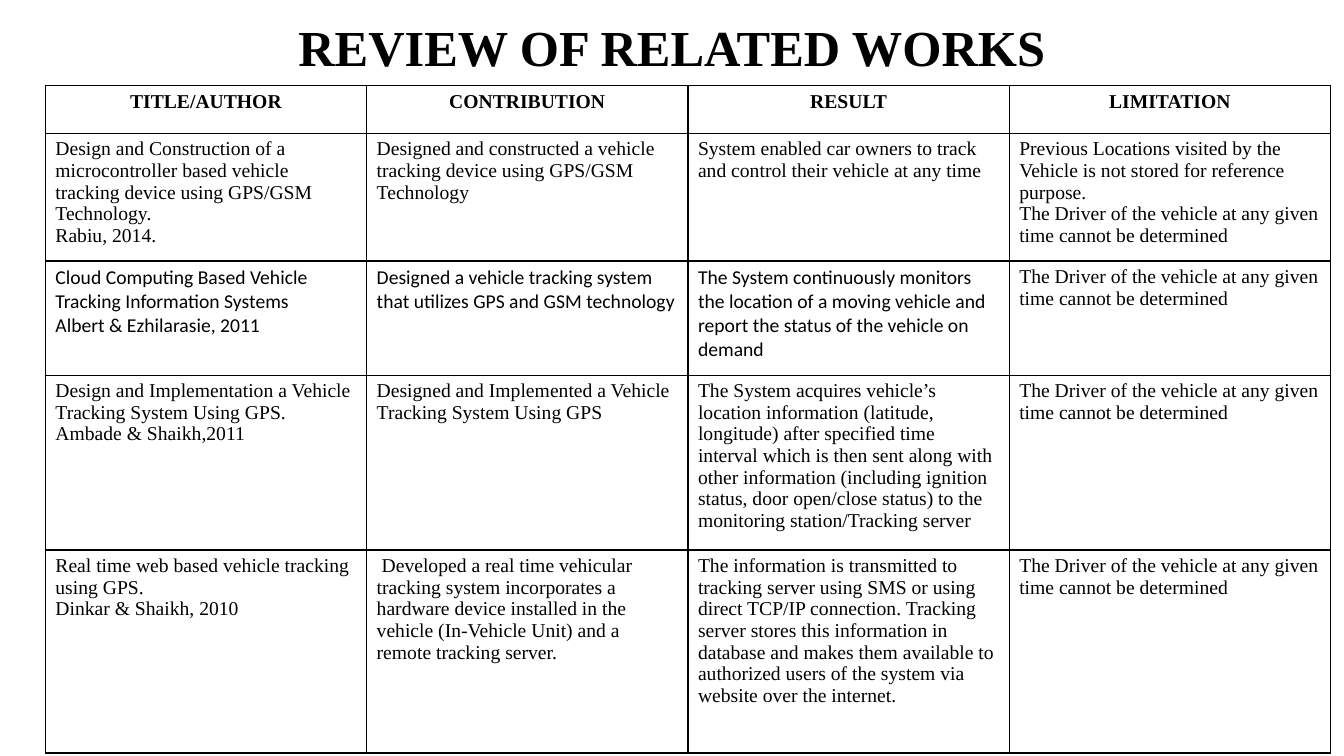
from pptx import Presentation
from pptx.dml.color import RGBColor
from pptx.enum.text import MSO_ANCHOR, PP_ALIGN
from pptx.oxml import parse_xml
from pptx.oxml.ns import nsdecls
from pptx.util import Pt

SERIF, SANS = "Times New Roman", "Calibri"
BLACK = "000000"
NO_DRIVER = "The Driver of the vehicle at any given time cannot be determined"
HEADERS = ["TITLE/AUTHOR", "CONTRIBUTION", "RESULT", "LIMITATION"]
WORKS = [
    ["Design and Construction of a microcontroller based vehicle tracking device "
     "using GPS/GSM Technology.\nRabiu, 2014.",
     "Designed and constructed a vehicle tracking device using GPS/GSM Technology",
     "System enabled car owners to track and control their vehicle at any time",
     "Previous Locations visited by the Vehicle is not stored for reference purpose.\n"
     + NO_DRIVER],
    ["Cloud Computing Based Vehicle Tracking Information Systems\n"
     "Albert & Ezhilarasie, 2011",
     "Designed a vehicle tracking system that utilizes GPS and GSM technology",
     "The System continuously monitors the location of a moving vehicle and report "
     "the status of the vehicle on demand",
     NO_DRIVER],
    ["Design and Implementation a Vehicle Tracking System Using GPS.\n"
     "Ambade & Shaikh,2011",
     "Designed and Implemented a Vehicle Tracking System Using GPS",
     "The System acquires vehicle’s location information (latitude, longitude) after "
     "specified time interval which is then sent along with other information "
     "(including ignition status, door open/close status) to the monitoring "
     "station/Tracking server",
     NO_DRIVER],
    ["Real time web based vehicle tracking using GPS.\nDinkar & Shaikh, 2010",
     " Developed a real time vehicular tracking system incorporates a hardware device "
     "installed in the vehicle (In-Vehicle Unit) and a remote tracking server.",
     "The information is transmitted to tracking server using SMS or using direct "
     "TCP/IP connection. Tracking server stores this information in database and "
     "makes them available to authorized users of the system via website over the "
     "internet.",
     NO_DRIVER],
]
ROW_HEIGHTS = [34, 84, 81.5, 117.5, 145]
SANS_ROW = 2


def rgb(color):
    """Turn a hex string into a colour."""
    return RGBColor.from_string(color)


def write(tf, text, size=14, font=SERIF, color=BLACK, bold=False,
          align=PP_ALIGN.LEFT, spacing=None):
    """Fill a text frame with one paragraph per line of text."""
    tf.word_wrap = True
    for i, line in enumerate(text.split("\n")):
        p = tf.add_paragraph() if i else tf.paragraphs[0]
        p.alignment = align
        if spacing:
            p.line_spacing = spacing
        r = p.add_run()
        r.text = line
        r.font.size, r.font.name, r.font.bold = Pt(size), font, bold
        r.font.color.rgb = rgb(color)


def add_borders(cell, color=BLACK, width=1):
    """Draw a solid line on all four sides of a cell."""
    tc_pr = cell._tc.get_or_add_tcPr()
    for i, side in enumerate(("lnL", "lnR", "lnT", "lnB")):
        tc_pr.insert(i, parse_xml(
            f'<a:{side} {nsdecls("a")} w="{Pt(width)}"><a:solidFill>'
            f'<a:srgbClr val="{color}"/></a:solidFill></a:{side}>'))


def add_title(slide, text, x, y, w, h):
    """Place the slide title, centred in its box."""
    tf = slide.shapes.add_textbox(Pt(x), Pt(y), Pt(w), Pt(h)).text_frame
    tf.vertical_anchor = MSO_ANCHOR.MIDDLE
    write(tf, text, size=36, bold=True, align=PP_ALIGN.CENTER, spacing=0.9)


def add_review_table(slide, x, y, w):
    """Place the table of reviewed works with equal columns."""
    rows = [HEADERS] + WORKS
    table = slide.shapes.add_table(len(rows), len(HEADERS), Pt(x), Pt(y), Pt(w),
                                   Pt(sum(ROW_HEIGHTS))).table
    table.horz_banding = False
    for col in table.columns:
        col.width = Pt(w / len(HEADERS))
    for i, (texts, height) in enumerate(zip(rows, ROW_HEIGHTS)):
        table.rows[i].height = Pt(height)
        for j, text in enumerate(texts):
            cell = table.cell(i, j)
            cell.fill.background()
            add_borders(cell)
            header = i == 0
            sans = i == SANS_ROW and text != NO_DRIVER
            write(cell.text_frame, text, bold=header, font=SANS if sans else SERIF,
                  align=PP_ALIGN.CENTER if header else PP_ALIGN.LEFT)


def main():
    """Build the slide and save it."""
    prs = Presentation()
    prs.slide_width, prs.slide_height = Pt(960), Pt(540)
    slide = prs.slides.add_slide(prs.slide_layouts[6])
    add_title(slide, "REVIEW OF RELATED WORKS", 66, 10.8, 828, 49.7)
    add_review_table(slide, 32.4, 61.2, 918)
    prs.save("out.pptx")


if __name__ == "__main__":
    main()
